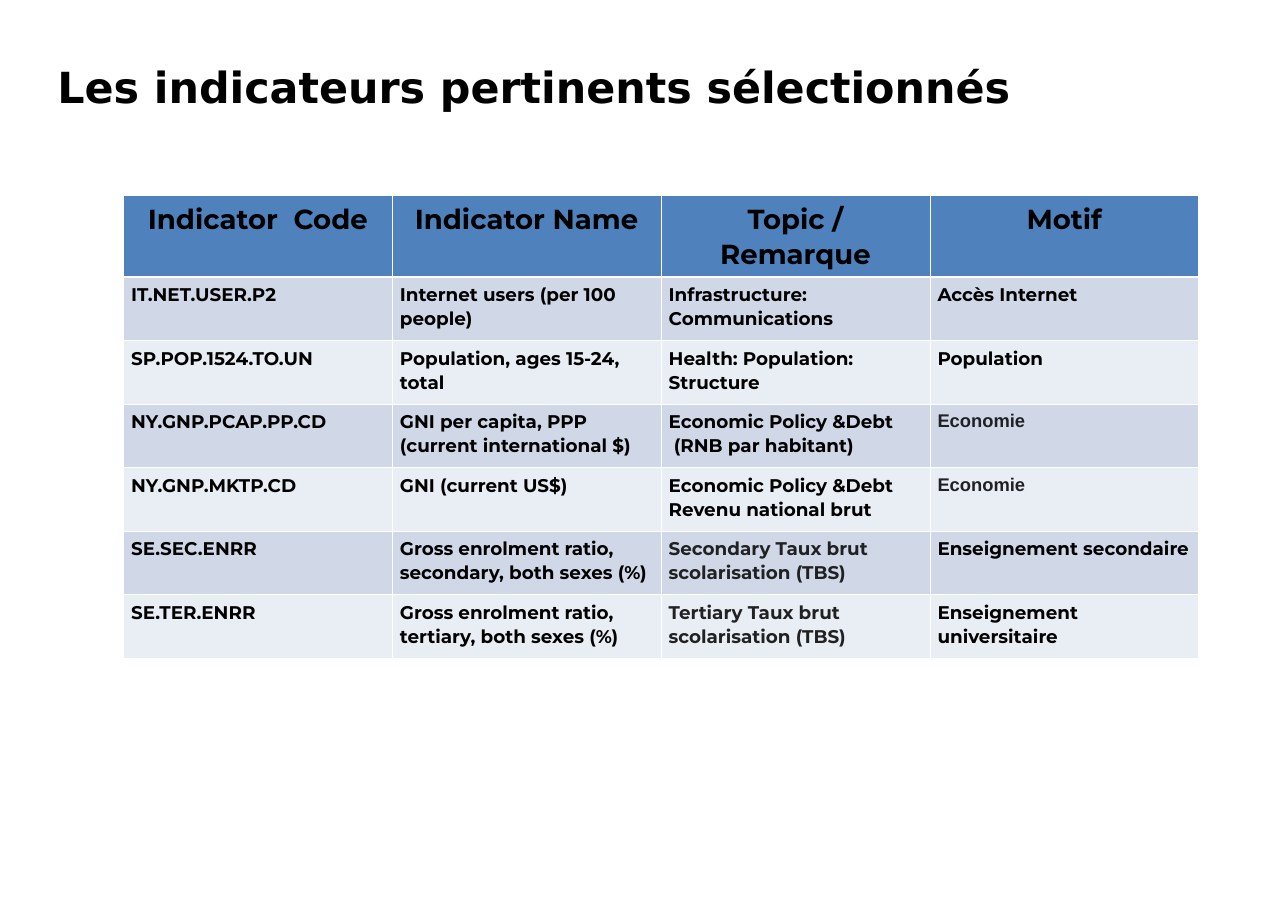
from lxml.etree import SubElement
from pptx import Presentation
from pptx.dml.color import RGBColor
from pptx.enum.text import MSO_ANCHOR, PP_ALIGN
from pptx.oxml.ns import qn
from pptx.util import Inches, Pt

COLORS = {
    "black": "000000",
    "charcoal": "202124",
    "ink": "202122",
    "header": "4F81BD",
    "odd": "D0D8E8",
    "even": "E9EDF4",
    "border": "FFFFFF",
}
SLIDE_WIDTH, SLIDE_HEIGHT = 11.69, 8.27
TITLE_BOX = (0.42, 0.5, 9.76, 0.83)
TABLE_BOX = (1.12, 1.77, 9.76, 4.2)
HEADER_HEIGHT = 0.74
THIN, THICK = 0.45, 1.47

HEADERS = ["Indicator  Code", "Indicator Name", "Topic / Remarque", "Motif"]
INDICATORS = [
    ["IT.NET.USER.P2", "Internet users (per 100 people)",
     "Infrastructure: Communications", "Accès Internet"],
    ["SP.POP.1524.TO.UN", "Population, ages 15-24, total",
     "Health: Population: Structure", "Population"],
    ["NY.GNP.PCAP.PP.CD", "GNI per capita, PPP (current international $)",
     "Economic Policy &Debt\n (RNB par habitant)", "Economie"],
    ["NY.GNP.MKTP.CD", "GNI (current US$)",
     "Economic Policy &Debt\nRevenu national brut", "Economie"],
    ["SE.SEC.ENRR", "Gross enrolment ratio, secondary, both sexes (%)",
     "Secondary Taux brut scolarisation (TBS)", "Enseignement secondaire"],
    ["SE.TER.ENRR", "Gross enrolment ratio, tertiary, both sexes (%)",
     "Tertiary Taux brut scolarisation (TBS)", "Enseignement universitaire"],
]


def add_run(paragraph, text, size, font="Montserrat", color="black"):
    run = paragraph.add_run()
    run.text = text
    run.font.name = font
    run.font.size = Pt(size)
    run.font.bold = True
    run.font.color.rgb = RGBColor.from_string(COLORS[color])


def add_borders(cell, top, bottom):
    properties = cell._tc.get_or_add_tcPr()
    for side, width in (("L", THIN), ("R", THIN), ("T", top), ("B", bottom)):
        line = SubElement(properties, qn(f"a:ln{side}"), w=str(Pt(width)))
        fill = SubElement(line, qn("a:solidFill"))
        SubElement(fill, qn("a:srgbClr"), val=COLORS["border"])


def text_style(text):
    if text == "Economie":
        return {"font": "Arial", "color": "charcoal"}
    if text.endswith("(TBS)"):
        return {"color": "ink"}
    return {}


def fill_cell(cell, text, row):
    is_header = row == 0
    add_borders(cell, THICK if row == 1 else THIN, THICK if is_header else THIN)
    fill = "header" if is_header else "odd" if row % 2 else "even"
    cell.fill.solid()
    cell.fill.fore_color.rgb = RGBColor.from_string(COLORS[fill])
    cell.margin_left = cell.margin_right = Inches(0.07)
    cell.margin_top = cell.margin_bottom = Inches(0.05)
    frame = cell.text_frame
    for index, line in enumerate(text.split("\n")):
        paragraph = frame.add_paragraph() if index else frame.paragraphs[0]
        paragraph.alignment = PP_ALIGN.CENTER if is_header else PP_ALIGN.LEFT
        paragraph.line_spacing = 1.06
        add_run(paragraph, line, 18 if is_header else 12, **text_style(text))


def place_title(slide, box):
    title = slide.shapes.title
    title.left, title.top, title.width, title.height = map(Inches, box)
    frame = title.text_frame
    frame.word_wrap = True
    frame.vertical_anchor = MSO_ANCHOR.TOP
    paragraph = frame.paragraphs[0]
    paragraph.alignment = PP_ALIGN.LEFT
    add_run(paragraph, "Les indicateurs pertinents sélectionnés", 28, "DejaVu Sans")


def place_indicator_table(slide, box):
    rows = [HEADERS, *INDICATORS]
    width, height = box[2:]
    table = slide.shapes.add_table(len(rows), len(HEADERS), *map(Inches, box)).table
    for column in table.columns:
        column.width = Inches(width / len(HEADERS))
    for index, row in enumerate(table.rows):
        body_height = (height - HEADER_HEIGHT) / len(INDICATORS)
        row.height = Inches(body_height if index else HEADER_HEIGHT)
        for cell, text in zip(row.cells, rows[index]):
            fill_cell(cell, text, index)


def main():
    presentation = Presentation()
    presentation.slide_width = Inches(SLIDE_WIDTH)
    presentation.slide_height = Inches(SLIDE_HEIGHT)
    slide = presentation.slides.add_slide(presentation.slide_layouts[5])
    place_title(slide, TITLE_BOX)
    place_indicator_table(slide, TABLE_BOX)
    presentation.save("out.pptx")


if __name__ == "__main__":
    main()
